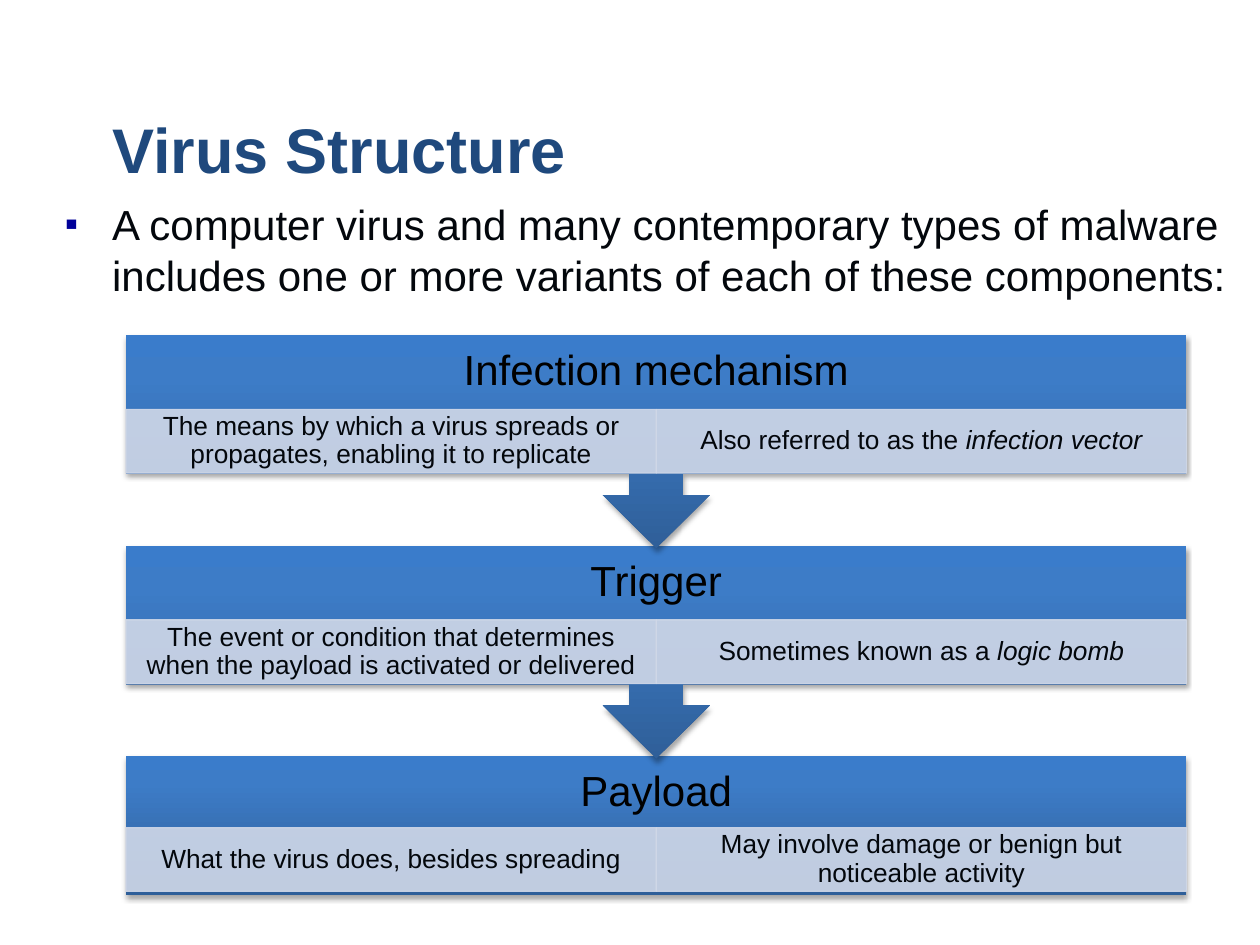
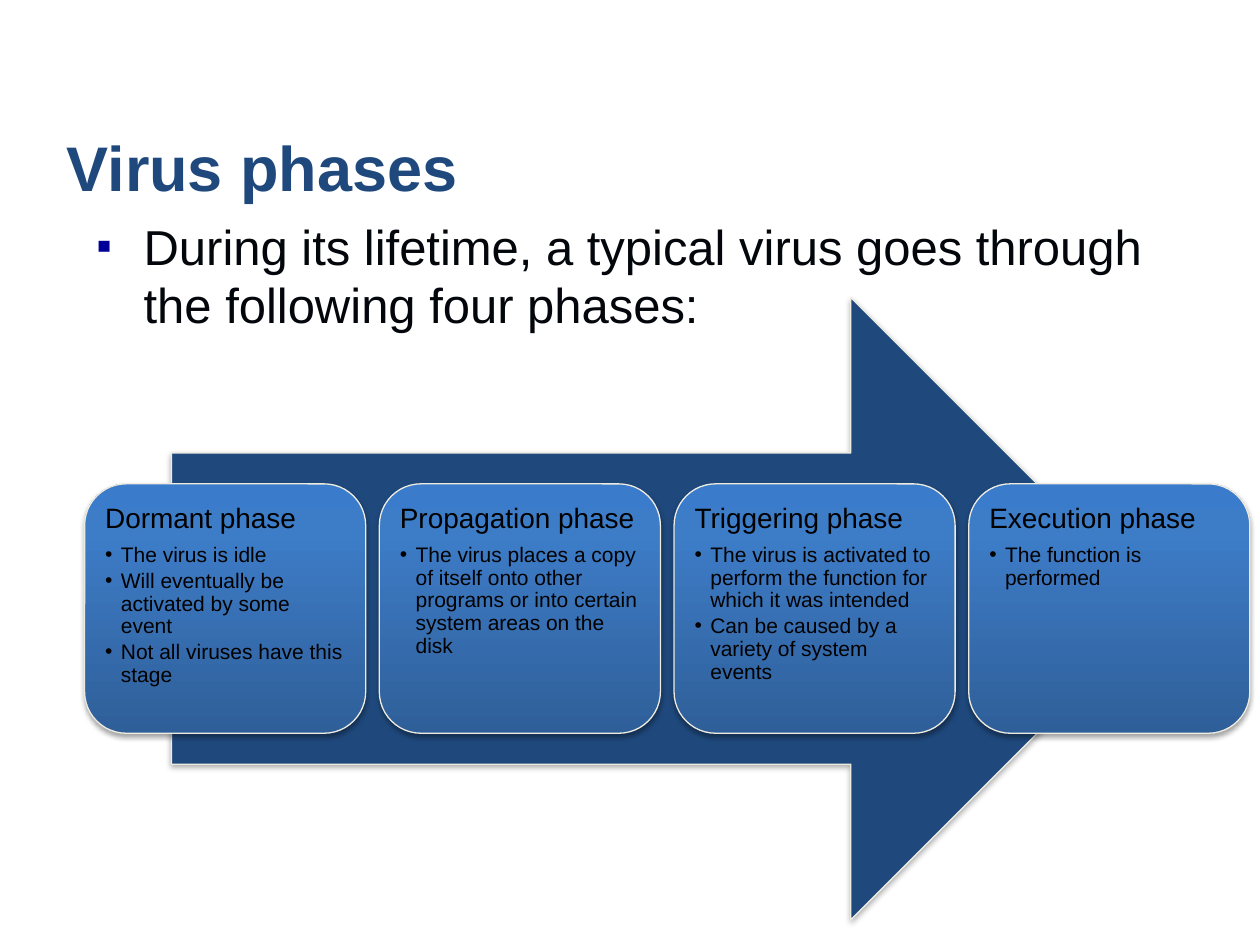
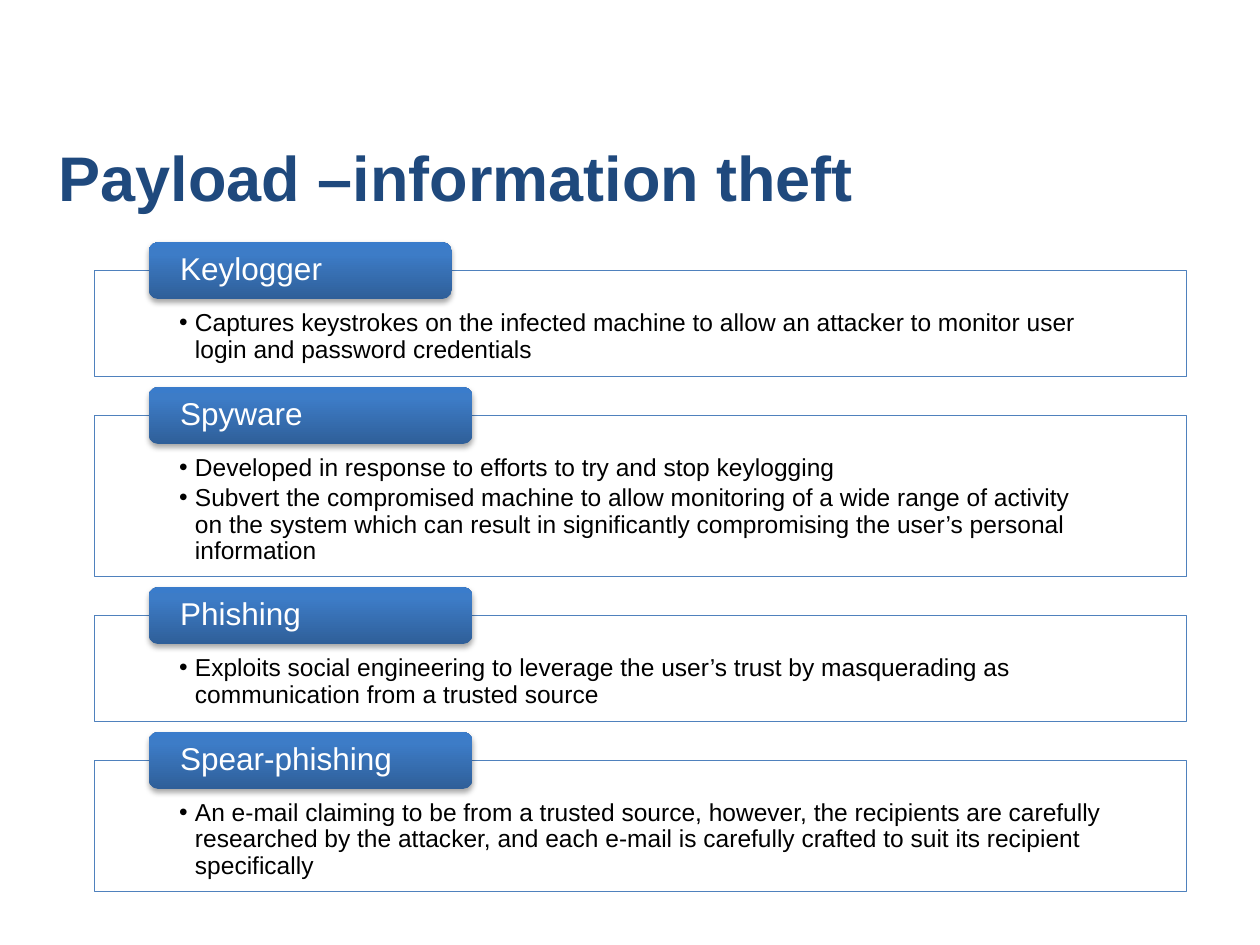
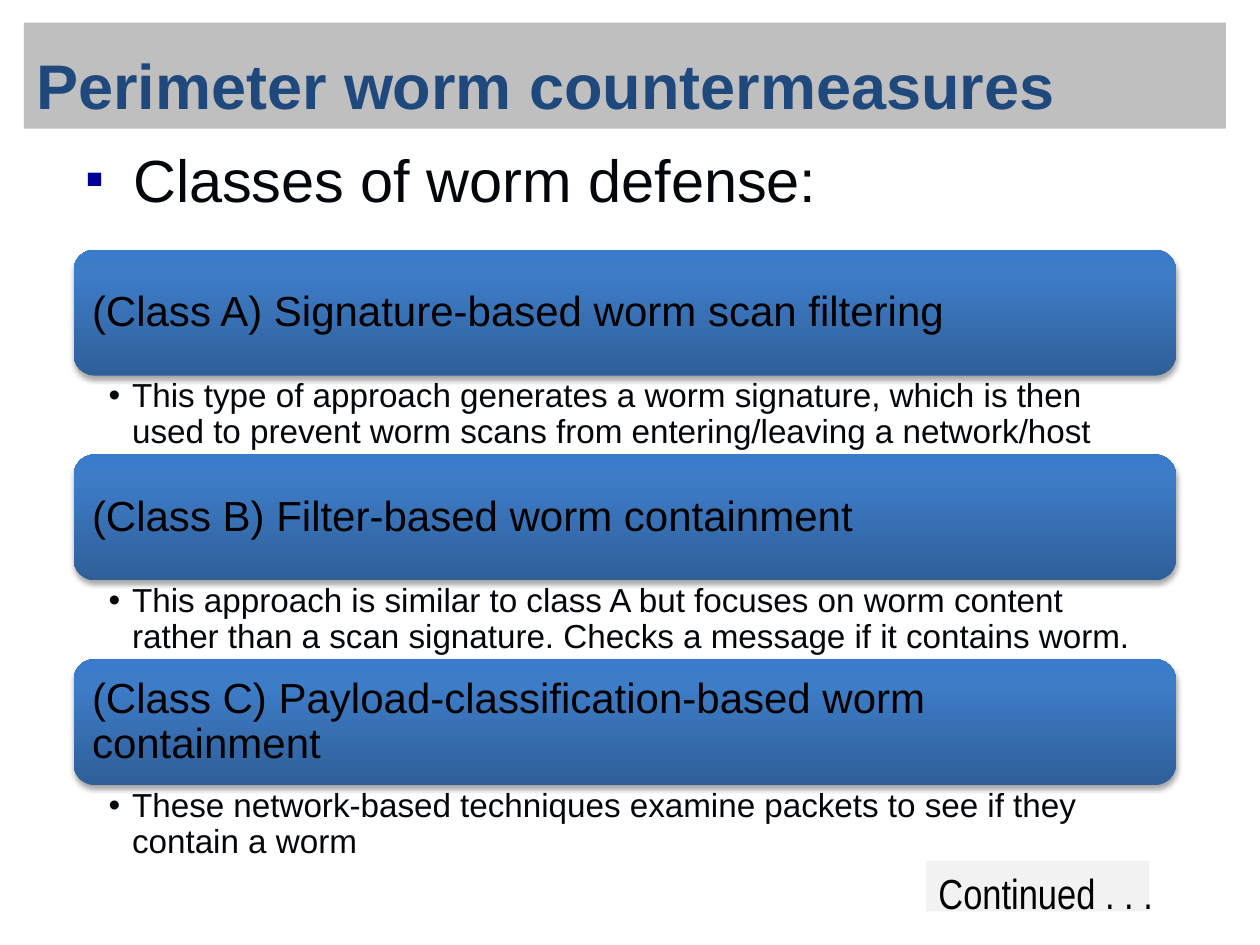
from lxml.etree import SubElement
from pptx import Presentation
from pptx.dml.color import RGBColor
from pptx.enum.shapes import MSO_SHAPE
from pptx.enum.text import MSO_ANCHOR, PP_ALIGN
from pptx.oxml import parse_xml
from pptx.oxml.ns import nsdecls, qn
from pptx.util import Pt

NAVY = RGBColor(0x1F, 0x49, 0x7D)
INK = RGBColor(0x03, 0x07, 0x0C)
BLACK = RGBColor(0x00, 0x00, 0x00)
WHITE = RGBColor(0xFF, 0xFF, 0xFF)
CREAM = RGBColor(0xEE, 0xEC, 0xE1)
PALE = RGBColor(0xD0, 0xD8, 0xE8)
EDGE = RGBColor(0x4F, 0x81, 0xBD)
GRAY = RGBColor(0xBF, 0xBF, 0xBF)
MIST = RGBColor(0xF2, 0xF2, 0xF2)
MARK = RGBColor(0x00, 0x00, 0x99)
DARK = RGBColor(0x2F, 0x5F, 0x99)
MID = RGBColor(0x3D, 0x7C, 0xC7)
LIGHT = RGBColor(0x3A, 0x7C, 0xCB)
STOPS = ((0, DARK), (80, MID), (100, LIGHT))

STEPS = [
    ("Infection mechanism",
     ("The means by which a virus spreads or propagates, enabling it to replicate", ""),
     ("Also referred to as the ", "infection vector")),
    ("Trigger",
     ("The event or condition that determines when the payload is activated or delivered", ""),
     ("Sometimes known as a ", "logic bomb")),
    ("Payload",
     ("What the virus does, besides spreading", ""),
     ("May involve damage or benign but noticeable activity", "")),
]
PHASES = [
    ("Dormant phase", ["The virus is idle",
                       "Will eventually be activated by some event",
                       "Not all viruses have this stage"]),
    ("Propagation phase", ["The virus places a copy of itself onto other programs "
                           "or into certain system areas on the disk"]),
    ("Triggering phase", ["The virus is activated to perform the function "
                          "for which it was intended",
                          "Can be caused by a variety of system events"]),
    ("Execution phase", ["The function is performed"]),
]
THEFTS = [
    ("Keylogger", 173, 60.5,
     ["Captures keystrokes on the infected machine to allow an attacker "
      "to monitor user login and password credentials"]),
    ("Spyware", 185, 92,
     ["Developed in response to efforts to try and stop keylogging",
      "Subvert the compromised machine to allow monitoring of a wide range of activity "
      "on the system which can result in significantly compromising "
      "the user’s personal information"]),
    ("Phishing", 185, 60.5,
     ["Exploits social engineering to leverage the user’s trust by masquerading "
      "as communication from a trusted source"]),
    ("Spear-phishing", 185, 75,
     ["An e-mail claiming to be from a trusted source, however, the recipients are "
      "carefully researched by the attacker, and each e-mail is carefully crafted "
      "to suit its recipient specifically"]),
]
CLASSES = [
    ("(Class A) Signature-based worm scan filtering",
     "This type of approach generates a worm signature, which is then used "
     "to prevent worm scans from entering/leaving a network/host"),
    ("(Class B) Filter-based worm containment",
     "This approach is similar to class A but focuses on worm content rather than "
     "a scan signature. Checks a message if it contains worm."),
    ("(Class C) Payload-classification-based worm containment",
     "These network-based techniques examine packets to see if they contain a worm"),
]


def frame_up(shape, pad, anchor):
    frame = shape.text_frame
    frame.word_wrap = True
    frame.vertical_anchor = anchor
    frame.margin_left, frame.margin_top, frame.margin_right, frame.margin_bottom = map(Pt, pad)
    return frame


def add_text(slide, box, pad=(7.2, 3.6, 7.2, 3.6), anchor=MSO_ANCHOR.TOP):
    return frame_up(slide.shapes.add_textbox(*map(Pt, box)), pad, anchor)


def add_form(slide, kind, box, fill=None, line=None, shade=False):
    shape = slide.shapes.add_shape(kind, *map(Pt, box))
    shape.shadow.inherit = False
    props = shape.element.spPr
    if fill:
        shape.fill.solid()
        shape.fill.fore_color.rgb = fill
    else:
        stops = "".join(f'<a:gs pos="{at * 1000}"><a:srgbClr val="{tone}"/></a:gs>'
                        for at, tone in STOPS)
        props.insert(2, parse_xml(
            f'<a:gradFill {nsdecls("a")} rotWithShape="0"><a:gsLst>{stops}</a:gsLst>'
            '<a:lin ang="16200000" scaled="0"/></a:gradFill>'))
    if line:
        shape.line.color.rgb = line
        shape.line.width = Pt(0.75)
    else:
        shape.line.fill.background()
    if shade:
        cast = SubElement(props.find(qn("a:effectLst")), qn("a:outerShdw"),
                          blurRad=str(Pt(3.1)), dist=str(Pt(1.8)),
                          dir="5400000", rotWithShape="0")
        tone = SubElement(cast, qn("a:srgbClr"), val=str(BLACK))
        SubElement(tone, qn("a:alpha"), val="35000")
    return shape


def fade(part):
    for tone in part.iter(qn("a:srgbClr")):
        SubElement(tone, qn("a:alpha"), val="90000")


def add_mark(para, sign, hang, tone=None):
    props = para._p.get_or_add_pPr()
    props.set("marL", str(Pt(hang)))
    props.set("indent", str(-Pt(hang)))
    if tone:
        SubElement(SubElement(props, qn("a:buClr")), qn("a:srgbClr"), val=str(tone))
        SubElement(props, qn("a:buSzPct"), val="90000")
    SubElement(props, qn("a:buFont"), typeface="Arial")
    SubElement(props, qn("a:buChar"), char=sign)


def say(frame, text, size, tone, after=None, hang=0, sign="•", dot=None,
        align=PP_ALIGN.LEFT, bold=False, slant="", face="Arial"):
    para = frame.paragraphs[0]
    if para.runs:
        para = frame.add_paragraph()
    if hang:
        add_mark(para, sign, hang, dot)
    para.alignment = align
    if after is not None:
        para.line_spacing = 0.9
        para.space_after = Pt(round(size * after, 1))
    font = para.font
    font.name, font.size, font.bold = face, Pt(size), bold
    font.color.rgb = tone
    para.add_run().text = text
    if slant:
        run = para.add_run()
        run.text = slant
        run.font.italic = True


def add_title(slide, text, box, fill=None):
    pad = (7.2, 3.6, 7.2, 3.6)
    if fill:
        frame = frame_up(add_form(slide, MSO_SHAPE.RECTANGLE, box, fill), pad, MSO_ANCHOR.BOTTOM)
    else:
        frame = add_text(slide, box, pad, MSO_ANCHOR.BOTTOM)
    say(frame, text, 36, NAVY, bold=True)


def add_lead(slide, text, size, box):
    say(add_text(slide, box), text, size, INK, hang=27, sign="▪", dot=MARK)


def add_step(slide, step, box, head, last):
    left, top, width, height = box
    name, *notes = step
    kind = MSO_SHAPE.RECTANGLE if last else MSO_SHAPE.UP_ARROW_CALLOUT
    block = add_form(slide, kind, box, shade=True)
    if not last:
        block.rotation = 180
    frame = add_text(slide, (left, top, width, 42.5), (13.7,) * 4, MSO_ANCHOR.MIDDLE)
    say(frame, name, 24, BLACK, 0.35, align=PP_ALIGN.CENTER)
    half = width / 2
    for i, (text, slant) in enumerate(notes):
        cell = add_form(slide, MSO_SHAPE.RECTANGLE,
                        (left + i * half, top + head, half, 36.4), PALE, PALE)
        fade(cell.element.spPr)
        frame = frame_up(cell, (8.6, 1.4, 8.6, 1.4), MSO_ANCHOR.MIDDLE)
        say(frame, text, 15, INK, 0.35, align=PP_ALIGN.CENTER, slant=slant)


def add_phase(slide, phase, box):
    name, notes = phase
    card = add_form(slide, MSO_SHAPE.ROUNDED_RECTANGLE, box, line=CREAM, shade=True)
    frame = frame_up(card, (4.8,) * 4, MSO_ANCHOR.TOP)
    say(frame, name, 16, BLACK, 0.35)
    for note in notes:
        say(frame, note, 12, BLACK, 0.15, hang=9)


def add_theft(slide, name, span, notes, box):
    left, top, width, height = box
    panel = add_form(slide, MSO_SHAPE.RECTANGLE, box, WHITE, EDGE)
    fade(panel.element.spPr.find(qn("a:solidFill")))
    frame = frame_up(panel, (48.4, 22.7, 48.4, 7.9), MSO_ANCHOR.TOP)
    for note in notes:
        say(frame, note, 14, BLACK, 0.15, hang=9)
    tab = add_form(slide, MSO_SHAPE.ROUNDED_RECTANGLE,
                   (left + 31, top - 16.3, span, 32.5), shade=True)
    say(frame_up(tab, (16.4, 0, 16.4, 0), MSO_ANCHOR.MIDDLE), name, 18, WHITE, 0.35)


def add_class(slide, name, note, box):
    left, top, width, height = box
    bar = add_form(slide, MSO_SHAPE.ROUNDED_RECTANGLE, (left, top, width, 72), shade=True)
    say(frame_up(bar, (7.2,) * 4, MSO_ANCHOR.MIDDLE), name, 24, BLACK, 0.35)
    frame = add_text(slide, (left, top + 72, width, height - 72), (20, 2, 13.5, 2))
    say(frame, note, 19, INK, 0.2, hang=13.5)


def build_parts(slide):
    add_title(slide, "Virus Structure", (57, 62.5, 663, 47.5))
    add_lead(slide, "A computer virus and many contemporary types of malware includes "
             "one or more variants of each of these components:", 24, (30, 110, 690, 360))
    for i, step in reversed(list(enumerate(STEPS))):
        last = i == len(STEPS) - 1
        box = (72, 191.5 + i * 120.25, 606, 79.2 if last else 121.8)
        add_step(slide, step, box, 41 if last else 42.5, last)


def build_phases(slide):
    add_title(slide, "Virus phases", (31, 72, 663, 48))
    add_lead(slide, "During its lifetime, a typical virus goes through "
             "the following four phases:", 28, (48, 120, 630, 366))
    add_form(slide, MSO_SHAPE.RIGHT_ARROW, (98, 170, 566, 355.6), NAVY, CREAM, True)
    for i, phase in enumerate(PHASES):
        add_phase(slide, phase, (48.4 + i * 168.4, 276.5, 160.6, 142.5))


def build_thefts(slide):
    add_title(slide, "Payload –information theft", (26.6, 72, 663, 54))
    top = 154.7
    for name, span, height, notes in THEFTS:
        add_theft(slide, name, span, notes, (54, top, 624, height))
        top += height + 22.3


def build_classes(slide):
    add_title(slide, "Perimeter worm countermeasures", (13.6, 13, 687, 60.5), GRAY)
    add_lead(slide, "Classes of worm defense:", 34, (42, 78, 630, 360))
    tag = add_form(slide, MSO_SHAPE.RECTANGLE, (529.2, 492, 127.5, 28.8), MIST)
    frame = frame_up(tag, (7.2, 3.6, 7.2, 3.6), MSO_ANCHOR.TOP)
    frame.word_wrap = False
    say(frame, "Continued . . .", 24, BLACK, face="Arial Narrow")
    for i, (name, note) in enumerate(CLASSES):
        add_class(slide, name, note, (42, 142.7 + i * 117, 630, 117))


def main():
    deck = Presentation()
    deck.slide_width, deck.slide_height = Pt(720), Pt(540)
    for build in (build_parts, build_phases, build_thefts, build_classes):
        build(deck.slides.add_slide(deck.slide_layouts[6]))
    deck.save("out.pptx")


if __name__ == "__main__":
    main()
